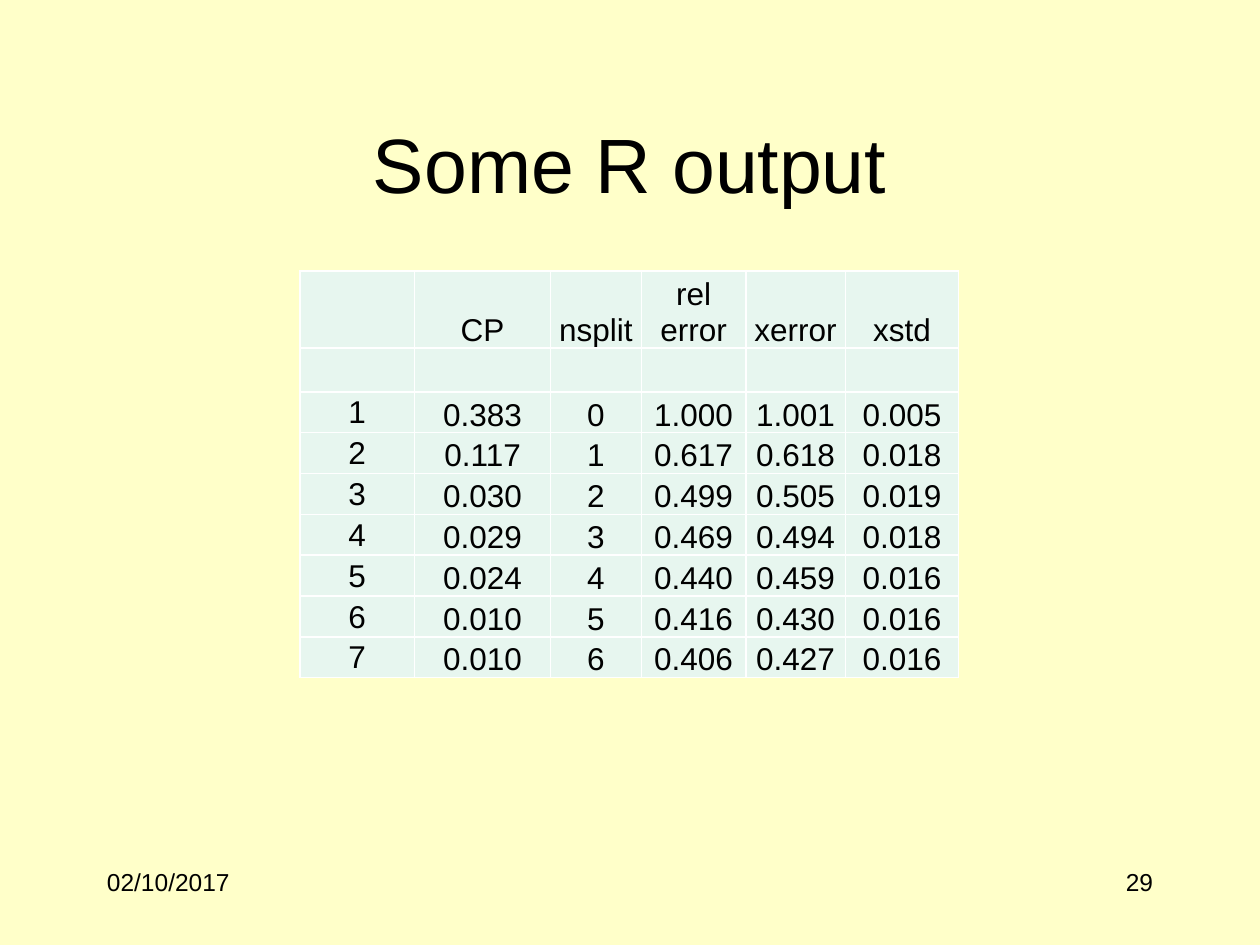
from dataclasses import dataclass

from lxml import etree
from pptx import Presentation
from pptx.dml.color import RGBColor
from pptx.enum import text
from pptx.oxml import ns
from pptx.util import Emu, Inches, Pt

CREAM = RGBColor(0xFF, 0xFF, 0xC9)
MINT = RGBColor(0xE7, 0xF6, 0xEF)
WHITE = RGBColor(0xFF, 0xFF, 0xFF)
BLACK = RGBColor(0, 0, 0)
FONT = "Arial"
WIDTH, HEIGHT = Inches(10), Inches(7.5)
CENTER, LEFT, RIGHT = text.PP_ALIGN.CENTER, text.PP_ALIGN.LEFT, text.PP_ALIGN.RIGHT
TOP, MIDDLE, BOTTOM = text.MSO_ANCHOR.TOP, text.MSO_ANCHOR.MIDDLE, text.MSO_ANCHOR.BOTTOM

COLUMNS = (0.91, 1.08, 0.72, 0.83, 0.79, 0.9)
TABLE_LEFT, TABLE_TOP, TABLE_HEIGHT = 2.38, 2.15, 3.19
HEADER_HEIGHT, GAP_HEIGHT = 0.57, 0.35
ROWS = (
    ("", "CP", "nsplit", "rel error", "xerror", "xstd"),
    ("",) * len(COLUMNS),
    ("1", "0.383", "0", "1.000", "1.001", "0.005"),
    ("2", "0.117", "1", "0.617", "0.618", "0.018"),
    ("3", "0.030", "2", "0.499", "0.505", "0.019"),
    ("4", "0.029", "3", "0.469", "0.494", "0.018"),
    ("5", "0.024", "4", "0.440", "0.459", "0.016"),
    ("6", "0.010", "5", "0.416", "0.430", "0.016"),
    ("7", "0.010", "6", "0.406", "0.427", "0.016"),
)


@dataclass(frozen=True)
class Label:
    words: str
    left: float
    top: float
    width: float
    height: float
    size: int
    align: text.PP_ALIGN
    anchor: text.MSO_ANCHOR = TOP


MARGIN = 0.075
FOOTER_WIDTH = 0.208
LABELS = (
    Label("Some R output", MARGIN, 0.089, 1 - 2 * MARGIN, 0.167, 44, CENTER, MIDDLE),
    Label("02/10/2017", MARGIN, 0.911, FOOTER_WIDTH, 0.067, 14, LEFT),
    Label("29", 1 - MARGIN - FOOTER_WIDTH, 0.911, FOOTER_WIDTH, 0.067, 14, RIGHT),
)


def write(tf, words: str, size: int, align) -> None:
    tf.text = words
    p = tf.paragraphs[0]
    p.alignment = align
    for r in p.runs:
        r.font.name = FONT
        r.font.size = Pt(size)
        r.font.bold = False
        r.font.color.rgb = BLACK


def add_label(s, label: Label) -> None:
    box = s.shapes.add_textbox(
        Emu(round(label.left * WIDTH)),
        Emu(round(label.top * HEIGHT)),
        Emu(round(label.width * WIDTH)),
        Emu(round(label.height * HEIGHT)),
    )
    tf = box.text_frame
    tf.word_wrap = True
    tf.vertical_anchor = label.anchor
    write(tf, label.words, label.size, label.align)


def add_borders(cell) -> None:
    tc_pr = cell._tc.get_or_add_tcPr()
    for side in ("lnL", "lnR", "lnT", "lnB"):
        ln = etree.SubElement(tc_pr, ns.qn(f"a:{side}"), w=str(Pt(1)))
        fill = etree.SubElement(ln, ns.qn("a:solidFill"))
        etree.SubElement(fill, ns.qn("a:srgbClr"), val=str(WHITE))


def style_cell(cell, words: str, anchor) -> None:
    cell.margin_left = cell.margin_right = cell.margin_top = Inches(0.01)
    cell.margin_bottom = 0
    cell.vertical_anchor = anchor
    add_borders(cell)
    cell.fill.solid()
    cell.fill.fore_color.rgb = MINT
    write(cell.text_frame, words, 18, CENTER)


def add_results(s) -> None:
    frame = s.shapes.add_table(
        len(ROWS), len(COLUMNS), Inches(TABLE_LEFT), Inches(TABLE_TOP),
        Inches(sum(COLUMNS)), Inches(TABLE_HEIGHT),
    )
    table = frame.table
    table.first_row = table.horz_banding = False
    for column, width in zip(table.columns, COLUMNS):
        column.width = Inches(width)
    data_rows = len(ROWS) - 2
    data_height = (TABLE_HEIGHT - HEADER_HEIGHT - GAP_HEIGHT) / data_rows
    heights = (HEADER_HEIGHT, GAP_HEIGHT) + (data_height,) * data_rows
    for i, (row, height, values) in enumerate(zip(table.rows, heights, ROWS)):
        row.height = Inches(height)
        for j, words in enumerate(values):
            style_cell(table.cell(i, j), words, MIDDLE if j == 0 else BOTTOM)


def main() -> None:
    prs = Presentation()
    prs.slide_width, prs.slide_height = WIDTH, HEIGHT
    s = prs.slides.add_slide(prs.slide_layouts[6])
    s.background.fill.solid()
    s.background.fill.fore_color.rgb = CREAM
    for label in LABELS:
        add_label(s, label)
    add_results(s)
    prs.save("out.pptx")


if __name__ == "__main__":
    main()
